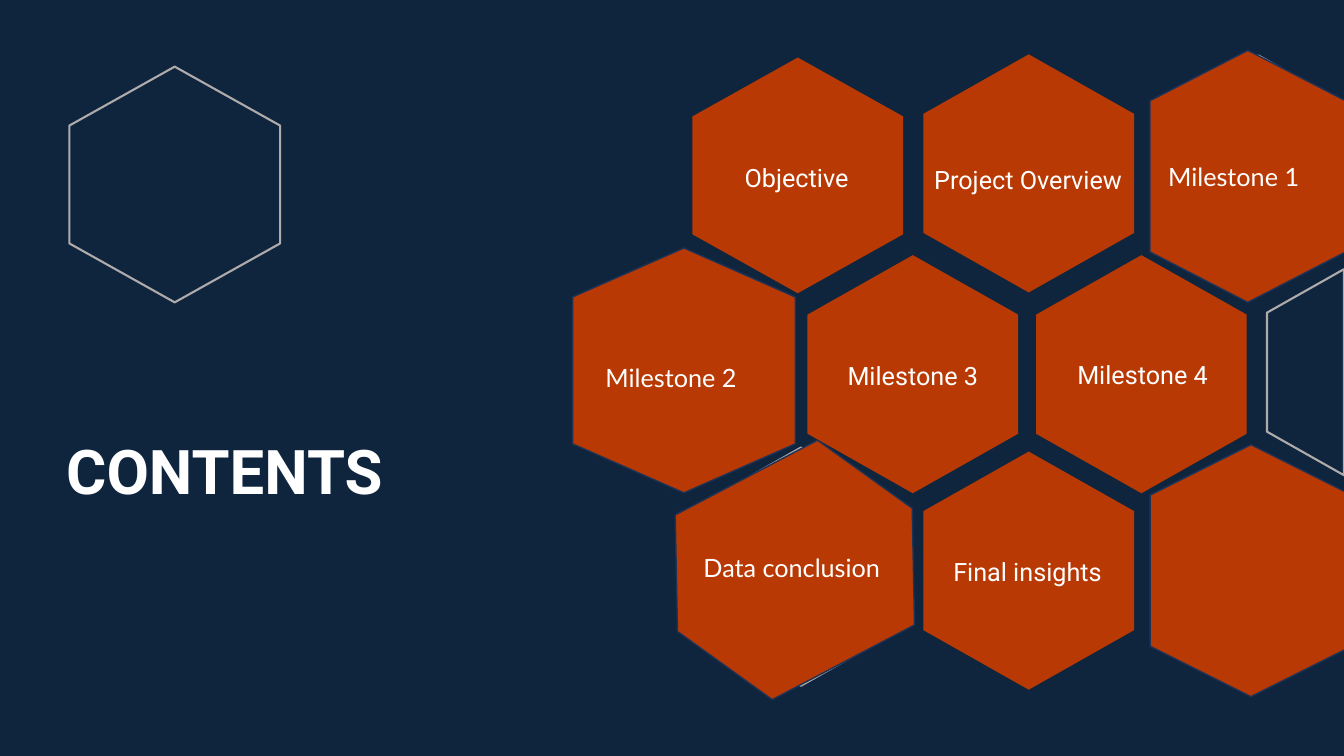
from typing import NamedTuple, Optional

from pptx import Presentation
from pptx.dml.color import RGBColor
from pptx.enum.shapes import MSO_SHAPE
from pptx.enum.text import MSO_ANCHOR, PP_ALIGN
from pptx.shapes.autoshape import Shape
from pptx.slide import Slide
from pptx.util import Cm, Pt

NAVY = RGBColor(0x0F, 0x25, 0x3E)
RUST = RGBColor(0xB8, 0x39, 0x03)
EDGE = RGBColor(0x1E, 0x32, 0x56)
GREY = RGBColor(0xAF, 0xAB, 0xAB)
WHITE = RGBColor(0xFF, 0xFF, 0xFF)

# All lengths are in centimetres
SLIDE_W, SLIDE_H = 33.87, 19.05
HEX_W = 5.31


class Hex(NamedTuple):
    left: float
    top: float
    height: float = 6.0
    filled: bool = False


class Tile(NamedTuple):
    kind: MSO_SHAPE
    left: float
    top: float
    width: float
    height: float
    rotation: float = 90


class Label(NamedTuple):
    text: str
    left: float
    top: float
    width: float
    height: float
    font: str = "Roboto"
    line_spacing: Optional[float] = 1.13
    space_before: float = 10


HEXES = [
    Hex(17.45, 1.45, 5.94, filled=True),
    Hex(23.27, 1.37, filled=True),
    Hex(20.35, 6.43, filled=True),
    Hex(23.27, 11.38, filled=True),
    Hex(26.11, 6.43, filled=True),
    Hex(1.75, 1.68, 5.94),
    Hex(29.06, 1.4),
    Hex(31.93, 6.38),
    Hex(29.06, 11.43),
    Hex(14.58, 6.38),
    Hex(17.53, 11.28),
]

TILES = [
    Tile(MSO_SHAPE.FLOWCHART_PREPARATION, 14.15, 6.53, 6.17, 5.61),
    Tile(MSO_SHAPE.FLOWCHART_PREPARATION, 28.27, 1.98, 6.35, 4.93),
    Tile(MSO_SHAPE.HEXAGON, 16.69, 11.73, 6.68, 5.26, 152.3),
    Tile(MSO_SHAPE.FLOWCHART_PREPARATION, 28.35, 11.84, 6.35, 5.08),
]

LABELS = [
    Label("Objective", 17.42, 3.0, 5.31, 2.92, line_spacing=None),
    Label("Project Overview", 23.27, 3.0, 5.28, 2.92),
    Label("Milestone 3", 20.35, 7.9, 5.31, 3.02),
    Label("Milestone 4", 26.14, 7.85, 5.31, 3.07),
    Label("Final insights", 23.24, 12.85, 5.31, 3.0),
    Label("Milestone 1", 27.71, 3.94, 6.76, 1.03, "Lato", None, 0),
    Label("Milestone 2", 12.95, 8.99, 7.92, 1.03, "Lato", None, 0),
    Label("Data conclusion", 17.15, 13.79, 5.61, 1.03, "Lato", None, 0),
]


def paint(s: Shape, fill: Optional[RGBColor], line: Optional[RGBColor],
          weight: float = 1) -> None:
    s.shadow.inherit = False
    if fill is None:
        s.fill.background()
    else:
        s.fill.solid()
        s.fill.fore_color.rgb = fill
    if line is None:
        s.line.fill.background()
    else:
        s.line.color.rgb = line
        s.line.width = Pt(weight)


def add_hex(slide: Slide, h: Hex) -> None:
    """Draw an upright hexagon, cut off at the right edge of the slide."""
    half = HEX_W / 2
    middle = h.left + half
    xs = sorted({min(x, SLIDE_W) for x in (h.left, middle, h.left + HEX_W)})
    drops = [h.height / 4 * abs(x - middle) / half for x in xs]
    upper = [(Cm(x), Cm(h.top + d)) for x, d in zip(xs, drops)]
    lower = [(Cm(x), Cm(h.top + h.height - d)) for x, d in zip(xs, drops)]
    points = upper + lower[::-1]
    builder = slide.shapes.build_freeform(*points[0])
    builder.add_line_segments(points[1:], close=True)
    s = builder.convert_to_shape()
    if h.filled:
        paint(s, RUST, None)
    else:
        paint(s, None, GREY, 1.5)


def add_tile(slide: Slide, t: Tile) -> None:
    s = slide.shapes.add_shape(t.kind, Cm(t.left), Cm(t.top),
                               Cm(t.width), Cm(t.height))
    s.rotation = t.rotation
    paint(s, RUST, EDGE)


def add_text(slide: Slide, text: str, left: float, top: float, width: float,
             height: float, *, font: str = "Roboto", size: float = 18,
             bold: bool = False, align: PP_ALIGN = PP_ALIGN.CENTER,
             margin: float = 0, line_spacing: Optional[float] = None,
             space_before: float = 0) -> None:
    s = slide.shapes.add_textbox(Cm(left), Cm(top), Cm(width), Cm(height))
    tf = s.text_frame
    tf.word_wrap = True
    tf.vertical_anchor = MSO_ANCHOR.MIDDLE
    tf.margin_left = tf.margin_right = Cm(margin)
    p = tf.paragraphs[0]
    p.alignment = align
    p.space_before = Pt(space_before)
    if line_spacing is not None:
        p.line_spacing = line_spacing
    r = p.add_run()
    r.text = text
    r.font.name = font
    r.font.size = Pt(size)
    r.font.bold = bold
    r.font.color.rgb = WHITE


def main() -> None:
    prs = Presentation()
    prs.slide_width, prs.slide_height = Cm(SLIDE_W), Cm(SLIDE_H)
    slide = prs.slides.add_slide(prs.slide_layouts[6])
    slide.background.fill.solid()
    slide.background.fill.fore_color.rgb = NAVY

    # Honeycomb
    for h in HEXES:
        add_hex(slide, h)
    for t in TILES:
        add_tile(slide, t)

    # Title and labels
    add_text(slide, "CONTENTS", 1.42, 9.55, 11.81, 4.83, size=44, bold=True,
             align=PP_ALIGN.LEFT, margin=0.25, line_spacing=0.9)
    for b in LABELS:
        add_text(slide, b.text, b.left, b.top, b.width, b.height, font=b.font,
                 line_spacing=b.line_spacing, space_before=b.space_before)

    prs.save("out.pptx")


if __name__ == "__main__":
    main()
